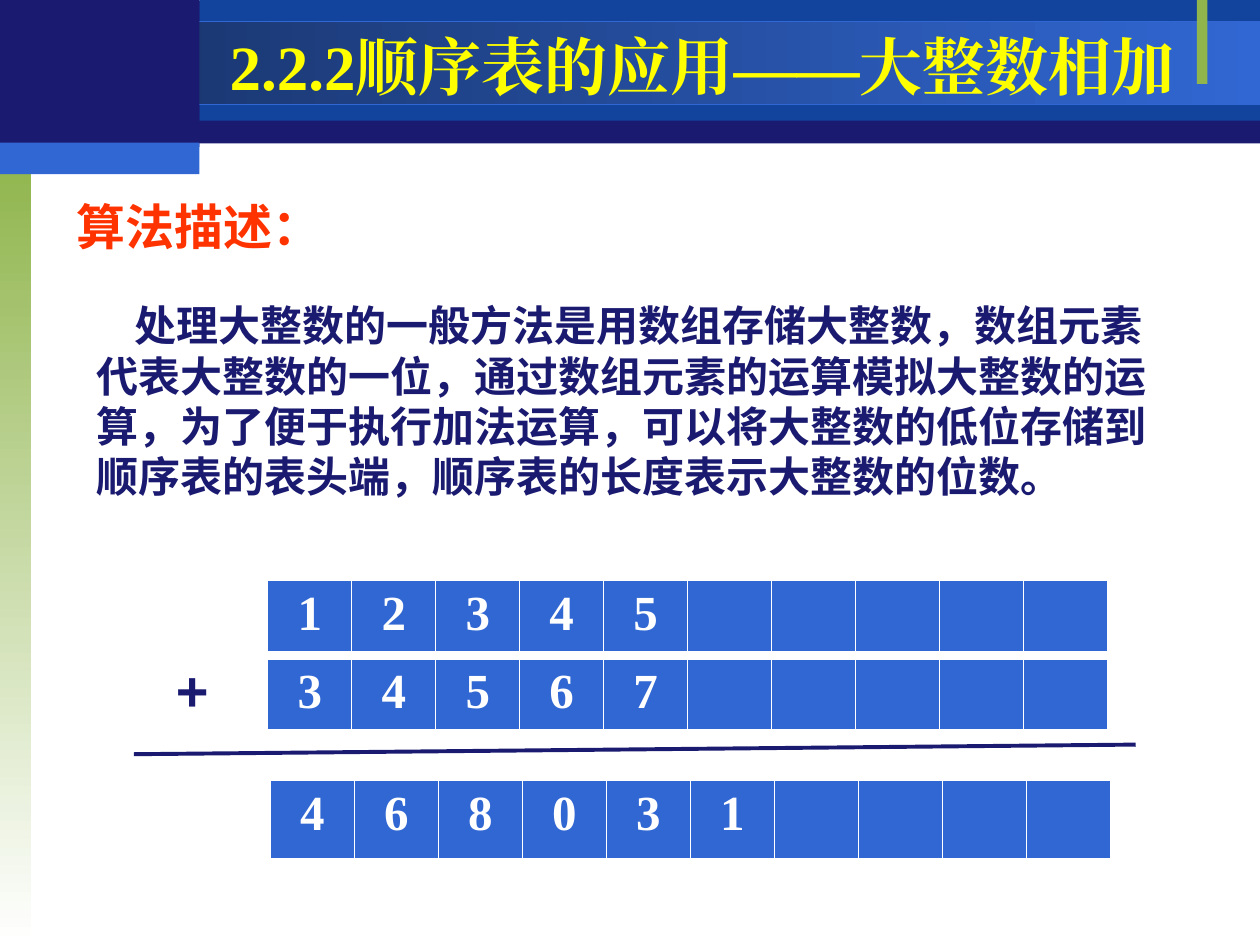
from dataclasses import dataclass

from lxml.etree import SubElement
from pptx import Presentation
from pptx.dml.color import RGBColor
from pptx.enum.shapes import MSO_CONNECTOR, MSO_SHAPE
from pptx.enum.text import MSO_ANCHOR, PP_ALIGN
from pptx.oxml.ns import qn
from pptx.util import Pt


@dataclass(frozen=True)
class Theme:
    navy: str = "1A1A70"
    royal: str = "12449E"
    blue: str = "3167D3"
    deep: str = "173062"
    green: str = "90B54D"
    white: str = "FFFFFF"
    yellow: str = "FFFF00"
    red: str = "FF3300"
    serif: str = "Times New Roman"
    sans: str = "Arial"
    chinese: str = "Noto Sans CJK SC"
    title_size: int = 36
    sign_size: int = 32
    heading_size: int = 28
    body_size: int = 24
    digit_size: int = 28


class SlideBuilder:
    def __init__(self, slide, theme):
        self.slide = slide
        self.theme = theme

    def band(self, left, top, width, height, color, end_color=None, angle=0, line=None):
        shape = self.slide.shapes.add_shape(
            MSO_SHAPE.RECTANGLE, Pt(left), Pt(top), Pt(width), Pt(height))
        shape.shadow.inherit = False
        if end_color:
            shape.fill.gradient()
            shape.fill.gradient_angle = angle
            for stop, value in zip(shape.fill.gradient_stops, (color, end_color)):
                stop.color.rgb = RGBColor.from_string(value)
        else:
            shape.fill.solid()
            shape.fill.fore_color.rgb = RGBColor.from_string(color)
        if line:
            shape.line.color.rgb = RGBColor.from_string(line)
            shape.line.width = Pt(0.75)
        else:
            shape.line.fill.background()

    def style(self, paragraph, font_name, size, color):
        for run in paragraph.runs:
            font = run.font
            font.name, font.size, font.bold = font_name, Pt(size), True
            font.color.rgb = RGBColor.from_string(color)
            east_asian = SubElement(run._r.get_or_add_rPr(), qn("a:ea"))
            east_asian.set("typeface", font_name)

    def text(self, left, top, width, height, content, font_name, size, color,
             align=PP_ALIGN.LEFT, anchor=MSO_ANCHOR.TOP, wrap=True):
        shape = self.slide.shapes.add_textbox(Pt(left), Pt(top), Pt(width), Pt(height))
        frame = shape.text_frame
        frame.word_wrap = wrap
        frame.vertical_anchor = anchor
        frame.text = content
        paragraph = frame.paragraphs[0]
        paragraph.alignment = align
        self.style(paragraph, font_name, size, color)
        return paragraph

    def border(self, cell):
        properties = cell._tc.get_or_add_tcPr()
        for side, width in (("L", 0.45), ("R", 0.45), ("T", 0.45), ("B", 1.47)):
            line = SubElement(properties, qn(f"a:ln{side}"), w=str(Pt(width)))
            fill = SubElement(line, qn("a:solidFill"))
            SubElement(fill, qn("a:srgbClr"), val=self.theme.white)

    def digit_row(self, left, top, height, digits, columns=10, cell_width=48):
        frame = self.slide.shapes.add_table(
            1, columns, Pt(left), Pt(top), Pt(columns * cell_width), Pt(height))
        table = frame.table
        table.first_row = table.horz_banding = False
        for index, digit in enumerate(digits.ljust(columns)):
            table.columns[index].width = Pt(cell_width)
            cell = table.cell(0, index)
            self.border(cell)
            cell.fill.solid()
            cell.fill.fore_color.rgb = RGBColor.from_string(self.theme.blue)
            if digit.strip():
                cell.text_frame.text = digit
                paragraph = cell.text_frame.paragraphs[0]
                paragraph.alignment = PP_ALIGN.CENTER
                self.style(paragraph, self.theme.serif, self.theme.digit_size,
                           self.theme.white)

    def line(self, start_x, start_y, end_x, end_y, color, width):
        connector = self.slide.shapes.add_connector(
            MSO_CONNECTOR.STRAIGHT, Pt(start_x), Pt(start_y), Pt(end_x), Pt(end_y))
        connector.line.color.rgb = RGBColor.from_string(color)
        connector.line.width = Pt(width)
        SubElement(connector._element.spPr, qn("a:effectLst"))


def main():
    theme = Theme()
    presentation = Presentation()
    presentation.slide_width, presentation.slide_height = Pt(720), Pt(540)
    slide = presentation.slides.add_slide(presentation.slide_layouts[6])
    builder = SlideBuilder(slide, theme)

    # Header bands and side strip
    builder.band(0, 0.5, 720, 81.5, theme.navy)
    builder.band(114, 0, 606, 69, theme.royal)
    builder.band(0, 12.3, 720, 47.5, theme.deep, theme.blue, line=theme.blue)
    builder.band(0, 90, 18, 450, theme.green, theme.white, angle=270)
    builder.band(684, 0, 6, 48, theme.green)
    builder.band(0, 0, 114, 84, theme.navy)
    builder.band(0, 81.5, 114, 18, theme.blue)

    # Title and description
    builder.text(36.7, 108.7, 187, 41, "算法描述：",
                 theme.sans, theme.heading_size, theme.red)
    builder.text(114, 16.5, 574.5, 42, "2.2.2顺序表的应用——大整数相加",
                 theme.serif, theme.title_size, theme.yellow,
                 align=PP_ALIGN.CENTER, anchor=MSO_ANCHOR.MIDDLE)
    body = builder.text(
        48, 168, 635, 122,
        "处理大整数的一般方法是用数组存储大整数，数组元素代表大整数的一位，"
        "通过数组元素的运算模拟大整数的运算，为了便于执行加法运算，"
        "可以将大整数的低位存储到顺序表的表头端，顺序表的长度表示大整数的位数。",
        theme.chinese, theme.body_size, theme.navy)
    body.line_spacing = Pt(28.7)
    body._p.get_or_add_pPr().set("indent", str(Pt(22)))

    # Addition, lowest digit first
    builder.digit_row(153, 331.5, 41, "12345")
    builder.digit_row(153, 376.5, 41, "34567")
    builder.digit_row(154.5, 446, 45, "468031")
    builder.line(76.5, 431, 649, 425.5, theme.navy, 2.25)
    builder.text(93.5, 371, 33, 46, "+", theme.sans, theme.sign_size, theme.navy,
                 wrap=False)

    presentation.save("out.pptx")


if __name__ == "__main__":
    main()
